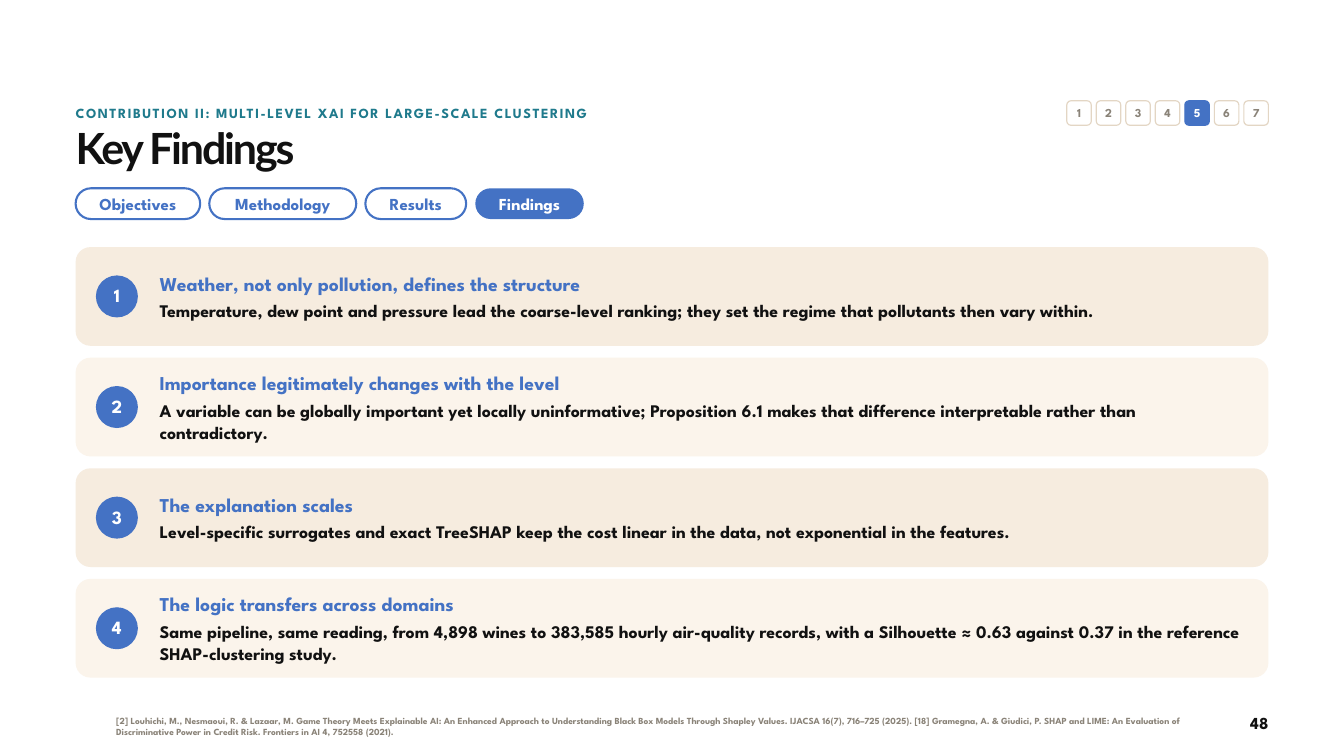
"""Build the Key Findings slide with section tabs and four numbered findings."""
from dataclasses import dataclass

import pptx
import pptx.dml.color
import pptx.enum.shapes
import pptx.enum.text
import pptx.util

KICKER = "CONTRIBUTION II: MULTI-LEVEL XAI FOR LARGE-SCALE CLUSTERING"
TITLE = "Key Findings"
STEPS, CURRENT_STEP = 7, 5
SECTIONS = [("Objectives", 178), ("Methodology", 210), ("Results", 144), ("Findings", 155)]
CURRENT_SECTION = "Findings"
FINDINGS = [
    ("Weather, not only pollution, defines the structure",
     "Temperature, dew point and pressure lead the coarse-level ranking; "
     "they set the regime that pollutants then vary within."),
    ("Importance legitimately changes with the level",
     "A variable can be globally important yet locally uninformative; "
     "Proposition 6.1 makes that difference interpretable rather than contradictory."),
    ("The explanation scales",
     "Level-specific surrogates and exact TreeSHAP keep the cost linear in the data, "
     "not exponential in the features."),
    ("The logic transfers across domains",
     "Same pipeline, same reading, from 4,898 wines to 383,585 hourly air-quality records, "
     "with a Silhouette ≈ 0.63 against 0.37 in the reference SHAP-clustering study."),
]
REFERENCES = (
    "[2] Louhichi, M., Nesmaoui, R. & Lazaar, M. Game Theory Meets Explainable AI: "
    "An Enhanced Approach to Understanding Black Box Models Through Shapley Values. "
    "IJACSA 16(7), 716–725 (2025). [18] Gramegna, A. & Giudici, P. SHAP and LIME: "
    "An Evaluation of Discriminative Power in Credit Risk. Frontiers in AI 4, 752558 (2021)."
)
PAGE_NUMBER = "48"


@dataclass(frozen=True)
class Theme:
    body_font: str = "League Spartan"
    title_font: str = "Lato"
    accent: str = "4472C4"
    kicker: str = "1F7A8C"
    ink: str = "111111"
    muted: str = "8A8378"
    white: str = "FFFFFF"
    border: str = "E3D6C4"
    cards: tuple = ("F6ECDF", "FBF4EB")
    title_size: int = 46
    heading_size: int = 21
    number_size: int = 20
    body_size: int = 19
    label_size: int = 18
    kicker_size: int = 15
    step_size: int = 13
    reference_size: int = 10


THEME = Theme()
SHAPE = pptx.enum.shapes.MSO_SHAPE
ALIGN = pptx.enum.text.PP_ALIGN
ANCHOR = pptx.enum.text.MSO_ANCHOR
LEFT, RIGHT = 108, 1812
WIDTH = RIGHT - LEFT


def px(length):
    return pptx.util.Emu(round(length * 9525))


def rgb(value):
    return pptx.dml.color.RGBColor.from_string(value)


def write(shape, text, *, size, color, leading, font=THEME.body_font, align=ALIGN.LEFT,
          anchor=ANCHOR.MIDDLE, tracking=0, inset=0, before=None):
    frame = shape.text_frame
    frame.word_wrap = True
    frame.vertical_anchor = anchor
    frame.margin_left = frame.margin_right = px(inset)
    frame.margin_top = frame.margin_bottom = 0
    paragraph = frame.add_paragraph() if frame.text else frame.paragraphs[0]
    paragraph.alignment = align
    paragraph.line_spacing = pptx.util.Pt(leading)
    if before:
        paragraph.space_before = pptx.util.Pt(before)
    run = paragraph.add_run()
    run.text = text
    run.font.name = font
    run.font.size = pptx.util.Pt(size)
    run.font.bold = True
    run.font.color.rgb = rgb(color)
    if tracking:
        run._r.get_or_add_rPr().set("spc", str(round(tracking * 100)))


def add_box(slide, left, top, width, height):
    return slide.shapes.add_textbox(px(left), px(top), px(width), px(height))


def add_shape(slide, kind, left, top, width, height, *, fill=None, line=None,
              line_width=1.25, radius=None):
    shape = slide.shapes.add_shape(kind, px(left), px(top), px(width), px(height))
    shape.shadow.inherit = False
    if radius is not None:
        shape.adjustments[0] = radius
    if fill:
        shape.fill.solid()
        shape.fill.fore_color.rgb = rgb(fill)
    else:
        shape.fill.background()
    if line:
        shape.line.color.rgb = rgb(line)
        shape.line.width = pptx.util.Pt(line_width)
    else:
        shape.line.fill.background()
    return shape


def add_header(slide):
    write(add_box(slide, LEFT, 146, 1358, 35), KICKER, size=THEME.kicker_size,
          color=THEME.kicker, leading=20, anchor=ANCHOR.TOP, tracking=1.6)
    write(add_box(slide, LEFT, 180, WIDTH, 77), TITLE, size=THEME.title_size,
          color=THEME.ink, leading=50.6, font=THEME.title_font, anchor=ANCHOR.TOP,
          tracking=-2.3)


def add_steps(slide):
    first, side = 1524, 35
    pitch = (RIGHT - side - first) / (STEPS - 1)
    for index in range(STEPS):
        current = index + 1 == CURRENT_STEP
        step = add_shape(slide, SHAPE.ROUNDED_RECTANGLE, first + index * pitch, 144, side, side,
                         fill=THEME.accent if current else THEME.white,
                         line=THEME.accent if current else THEME.border, radius=0.17)
        write(step, str(index + 1), size=THEME.step_size, leading=15, align=ALIGN.CENTER,
              color=THEME.white if current else THEME.muted)


def add_sections(slide):
    left, gap = LEFT, 13
    for label, width in SECTIONS:
        current = label == CURRENT_SECTION
        pill = add_shape(slide, SHAPE.ROUNDED_RECTANGLE, left, 269, width, 44,
                         fill=THEME.accent if current else None,
                         line=None if current else THEME.accent, line_width=2.25, radius=0.5)
        write(pill, label, size=THEME.label_size, leading=21.6, align=ALIGN.CENTER, inset=5,
              color=THEME.white if current else THEME.accent)
        left += width + gap


def add_findings(slide):
    first, height, gap, circle, padding = 353, 141, 17, 60, 12
    for index, (heading, detail) in enumerate(FINDINGS):
        top = first + index * (height + gap)
        add_shape(slide, SHAPE.ROUNDED_RECTANGLE, LEFT, top, WIDTH, height,
                  fill=THEME.cards[index % len(THEME.cards)], radius=0.15)
        badge = add_shape(slide, SHAPE.OVAL, 137, top + (height - circle) / 2, circle, circle,
                          fill=THEME.accent)
        write(badge, str(index + 1), size=THEME.number_size, color=THEME.white, leading=22,
              align=ALIGN.CENTER)
        box = add_box(slide, 228, top + padding, 1550, height - 2 * padding)
        write(box, heading, size=THEME.heading_size, color=THEME.accent, leading=25)
        write(box, detail, size=THEME.body_size, color=THEME.ink, leading=24, before=4)


def add_footer(slide):
    write(add_box(slide, 166, 1008, 1522, 60), REFERENCES, size=THEME.reference_size,
          color=THEME.muted, leading=12)
    write(add_box(slide, 1697, 1018, 115, 35), PAGE_NUMBER, size=THEME.label_size,
          color=THEME.ink, leading=22, align=ALIGN.RIGHT, anchor=ANCHOR.TOP)


def main():
    presentation = pptx.Presentation()
    presentation.slide_width, presentation.slide_height = px(1920), px(1080)
    slide = presentation.slides.add_slide(presentation.slide_layouts[6])
    for add_part in (add_footer, add_header, add_steps, add_sections, add_findings):
        add_part(slide)
    presentation.save("out.pptx")


if __name__ == "__main__":
    main()
